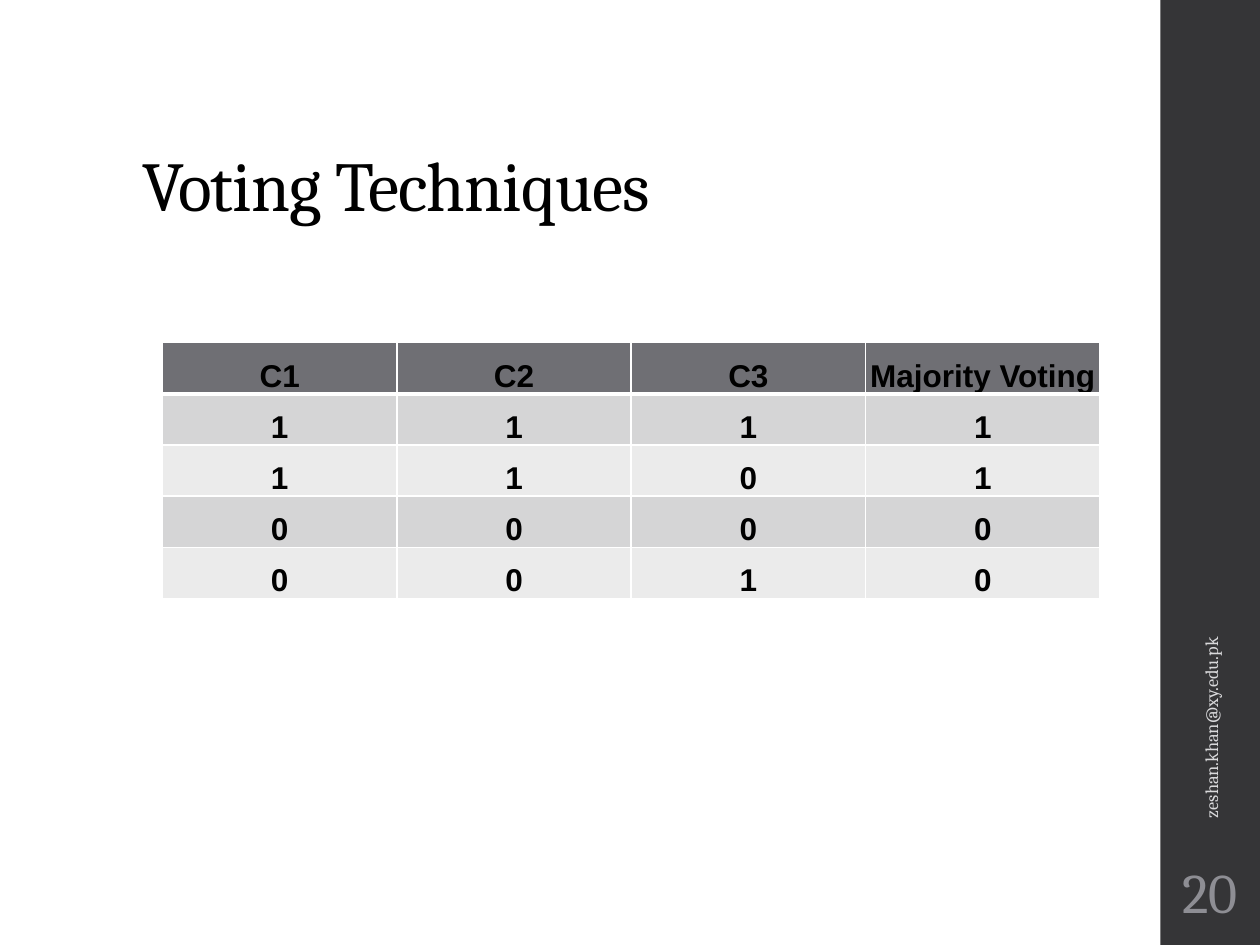
import pptx
import pptx.util
import pptx.dml.color
import pptx.enum.shapes
import pptx.enum.text
import pptx.oxml
import pptx.oxml.ns

Inches = pptx.util.Inches
Pt = pptx.util.Pt
ALIGN = pptx.enum.text.PP_ALIGN
ANCHOR = pptx.enum.text.MSO_ANCHOR

COLORS = {
    "bar": "353537", "ink": "000000", "mail": "D9D9DB", "number": "8E8E94",
    "head": "6F6F74", "odd": "D5D5D6", "even": "EBEBEB", "rule": "FFFFFF",
}
ROWS = [
    ["C1", "C2", "C3", "Majority Voting"],
    ["1", "1", "1", "1"],
    ["1", "1", "0", "1"],
    ["0", "0", "0", "0"],
    ["0", "0", "1", "0"],
]


def paint(fill, name):
    fill.solid()
    fill.fore_color.rgb = pptx.dml.color.RGBColor.from_string(COLORS[name])


def write(frame, text, size, color, font="Cambria", align=ALIGN.LEFT, bold=False):
    para = frame.paragraphs[0]
    para.alignment = align
    run = para.add_run()
    run.text = text
    run.font.size = Pt(size)
    run.font.name = font
    run.font.bold = bold
    paint(run.font.fill, color)
    return run


def add_text(slide, box, text, size, color, anchor=ANCHOR.MIDDLE,
             align=ALIGN.LEFT, inset=0.1):
    shape = slide.shapes.add_textbox(*map(Inches, box))
    frame = shape.text_frame
    frame.word_wrap = True
    frame.vertical_anchor = anchor
    frame.margin_left = frame.margin_right = Inches(inset)
    return shape, write(frame, text, size, color, align=align)


def add_title(slide, box):
    shape, run = add_text(slide, box, "Voting Techniques", 40, "ink", ANCHOR.BOTTOM)
    shape.text_frame.paragraphs[0].line_spacing = 0.9
    run.font._element.set("spc", "-50")


def add_side(slide, box):
    left, top, width, height = box
    bar = slide.shapes.add_shape(
        pptx.enum.shapes.MSO_SHAPE.RECTANGLE, *map(Inches, box))
    bar.shadow.inherit = False
    paint(bar.fill, "bar")
    bar.line.fill.background()

    # Address, turned to read upwards
    mail, _ = add_text(slide, (left - 1.56, top + 4.48, 3.92, 0.3),
                       "zeshan.khan@xy.edu.pk", 10.5, "mail")
    mail.rotation = 270

    # Slide number
    add_text(slide, (left + 0.02, top + height - 0.75, width - 0.05, 0.65),
             "20", 32, "number", align=ALIGN.CENTER, inset=0.03)


def add_rules(cell, header):
    """Border the cell, with a heavier rule between header and body."""
    props = cell._tc.get_or_add_tcPr()
    widths = {"lnL": 1, "lnR": 1, "lnT": 1, "lnB": 3 if header else 1}
    for tag, width in widths.items():
        props.append(pptx.oxml.parse_xml(
            f'<a:{tag} {pptx.oxml.ns.nsdecls("a")} w="{Pt(width)}"><a:solidFill>'
            f'<a:srgbClr val="{COLORS["rule"]}"/></a:solidFill></a:{tag}>'))


def add_votes(slide, box):
    table = slide.shapes.add_table(
        len(ROWS), len(ROWS[0]), *map(Inches, box)).table
    for col in table.columns:
        col.width = Inches(box[2] / len(ROWS[0]))
    for r, row in enumerate(ROWS):
        table.rows[r].height = Inches(box[3] / len(ROWS))
        shade = "head" if r == 0 else "odd" if r % 2 else "even"
        for c, text in enumerate(row):
            cell = table.cell(r, c)
            cell.margin_left = cell.margin_right = cell.margin_top = Inches(0.01)
            cell.margin_bottom = 0
            cell.vertical_anchor = ANCHOR.BOTTOM
            write(cell.text_frame, text, 18, "ink", "Arial", ALIGN.CENTER, True)
            add_rules(cell, r == 0)
            paint(cell.fill, shade)
            if r == 1:  # shared edge matches the header's rule
                top = cell._tc.tcPr.find(pptx.oxml.ns.qn("a:lnT"))
                top.set("w", str(Pt(3)))


def main():
    deck = pptx.Presentation()
    deck.slide_width, deck.slide_height = Inches(10), Inches(7.5)
    slide = deck.slides.add_slide(deck.slide_layouts[6])
    add_side(slide, (9.21, 0, 0.8, 7.5))
    add_title(slide, (1.03, 0.4, 7.95, 1.45))
    add_votes(slide, (1.29, 2.72, 7.44, 2.03))
    deck.save("out.pptx")


if __name__ == "__main__":
    main()
